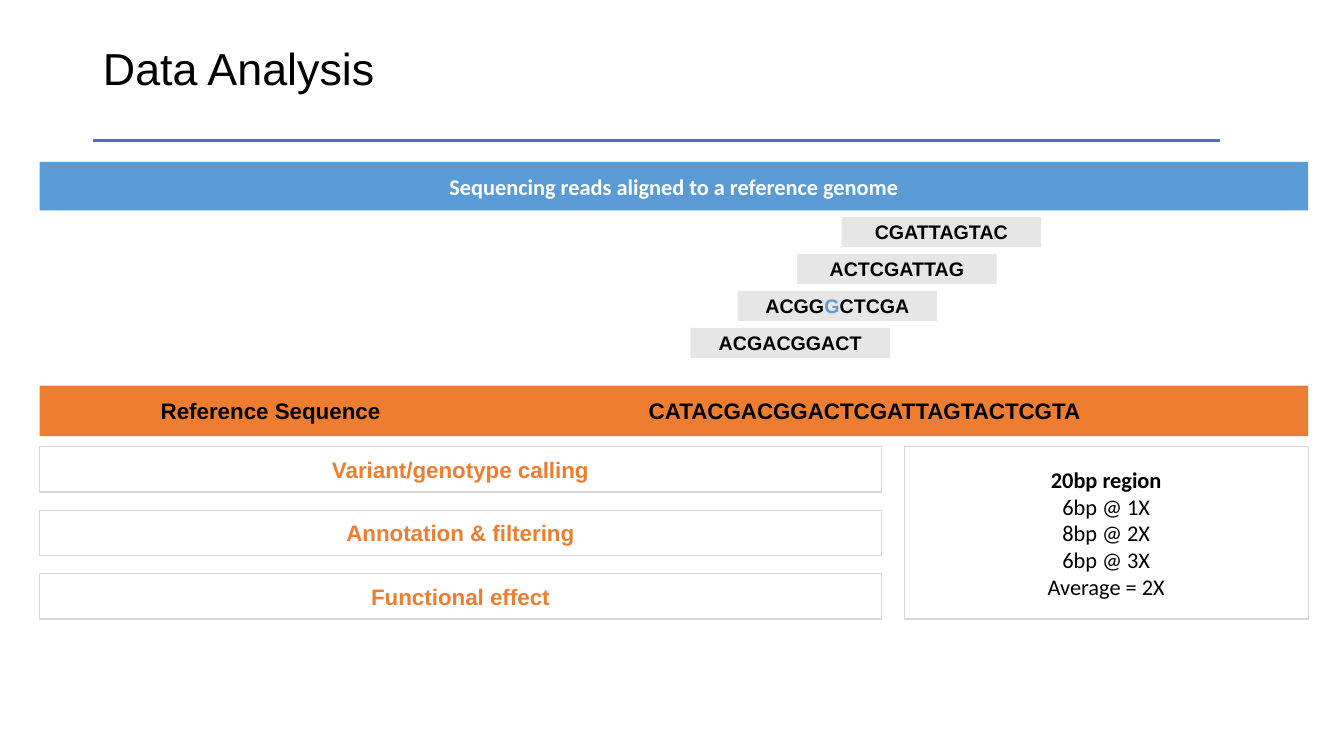
import pptx
import pptx.dml.color
import pptx.enum.shapes
import pptx.enum.text
import pptx.oxml.ns
import pptx.util
from lxml import etree

Cm, Pt = pptx.util.Cm, pptx.util.Pt
ALIGN = pptx.enum.text.PP_ALIGN
BLUE, ORANGE, GREY, EDGE = "5B9BD5", "ED7D31", "E7E6E6", "D8D8D8"
BLACK, WHITE, RULE = "000000", "FFFFFF", "4472C4"
READS = [(21.21, "CGATTAGTAC"), (20.09, "ACTCGATTAG"),
         (18.59, "ACGG|G|CTCGA"), (17.4, "ACGACGGACT")]
STEPS = ["Variant/genotype calling", "Annotation & filtering", "Functional effect"]
DEPTH = ["20bp region", "6bp @ 1X", "8bp @ 2X", "6bp @ 3X", "Average = 2X"]


def rgb(value):
    """Turn a hex string into a colour."""
    return pptx.dml.color.RGBColor.from_string(value)


def style(p, size, font, color, bold=True, align=ALIGN.CENTER):
    """Format a whole paragraph."""
    p.alignment = align
    p.font.size, p.font.name, p.font.bold = Pt(size), font, bold
    p.font.color.rgb = rgb(color)


def add_box(shapes, box, fill=None):
    """Draw a filled or outlined rectangle and return its text frame."""
    sp = shapes.add_shape(pptx.enum.shapes.MSO_SHAPE.RECTANGLE, *map(Cm, box))
    sp.shadow.inherit = False
    if fill:
        sp.fill.solid()
        sp.fill.fore_color.rgb = rgb(fill)
        sp.line.fill.background()
    else:
        sp.fill.background()
        sp.line.color.rgb = rgb(EDGE)
        sp.line.width = Pt(0.75)
    tf = sp.text_frame
    tf.word_wrap = True
    tf.vertical_anchor = pptx.enum.text.MSO_ANCHOR.MIDDLE
    return tf


def add_title(s, box):
    """Place the title and the rule below it."""
    x, y, w, h = box
    sp = s.shapes.title
    sp.left, sp.top, sp.width, sp.height = map(Cm, box)
    tf = sp.text_frame
    tf.text = "Data Analysis"
    tf.vertical_anchor = pptx.enum.text.MSO_ANCHOR.MIDDLE
    p = tf.paragraphs[0]
    style(p, 32, "Arial", BLACK, False, ALIGN.LEFT)
    p.line_spacing = 0.9
    rule_y = Cm(y + h + 0.48)
    rule = s.shapes.add_connector(pptx.enum.shapes.MSO_CONNECTOR.STRAIGHT,
                                  Cm(x), rule_y, Cm(x + w - 0.81), rule_y)
    rule.line.color.rgb = rgb(RULE)
    rule.line.width = Pt(2)
    etree.SubElement(rule._element.spPr, pptx.oxml.ns.qn("a:effectLst"))


def add_heading(s, box):
    """Draw the blue heading band."""
    tf = add_box(s.shapes, box, BLUE)
    tf.margin_left = tf.margin_right = tf.margin_top = tf.margin_bottom = 0
    tf.text = "Sequencing reads aligned to a reference genome"
    style(tf.paragraphs[0], 16, "Calibri", WHITE)


def add_reads(s, top, pitch):
    """Stack the reads, with the variant base in blue."""
    for i, (left, read) in enumerate(READS):
        p = add_box(s.shapes, (left, top + i * pitch, 5.03, 0.76), GREY).paragraphs[0]
        style(p, 14, "Arial", BLACK)
        for j, part in enumerate(read.split("|")):
            r = p.add_run()
            r.text = part
            if j == 1:
                r.font.color.rgb = rgb(BLUE)


def add_reference(s, box):
    """Draw the reference band with its label and sequence."""
    x, y, w, h = box
    shapes = s.shapes.add_group_shape().shapes
    label = add_box(shapes, box, ORANGE)
    label.margin_left = Cm(3.05)
    label.text = "Reference Sequence"
    sequence = shapes.add_textbox(Cm(x + 15.1), Cm(y + 0.28), Cm(14.81), Cm(0.71)).text_frame
    sequence.word_wrap = True
    sequence.vertical_anchor = pptx.enum.text.MSO_ANCHOR.MIDDLE
    sequence.text = "CATACGACGGACTCGATTAGTACTCGTA"
    for tf in (label, sequence):
        style(tf.paragraphs[0], 16, "Arial", BLACK, align=ALIGN.LEFT)


def add_steps(s, box):
    """Spread the analysis steps evenly down the box."""
    x, y, w, h = box
    step_h = 1.14
    pitch = (h - step_h) / (len(STEPS) - 1)
    for i, step in enumerate(STEPS):
        tf = add_box(s.shapes, (x, y + i * pitch, w, step_h))
        tf.text = step
        style(tf.paragraphs[0], 16, "Arial", ORANGE)


def add_depth(s, box):
    """List the read depth under a bold heading."""
    tf = add_box(s.shapes, box)
    tf.text = "\n".join(DEPTH)
    for i, p in enumerate(tf.paragraphs):
        style(p, 16, "Calibri", BLACK, i == 0)


def main():
    """Build and save the slide."""
    prs = pptx.Presentation()
    prs.slide_width, prs.slide_height = Cm(33.87), Cm(19.05)
    s = prs.slides.add_slide(prs.slide_layouts[5])
    add_title(s, (2.34, 0.53, 29.21, 2.54))
    add_heading(s, (1, 4.08, 31.97, 1.22))
    add_reads(s, 5.47, 0.93)
    add_reference(s, (1, 9.72, 31.97, 1.27))
    add_steps(s, (1, 11.26, 21.21, 4.34))
    add_depth(s, (22.79, 11.26, 10.18, 4.34))
    prs.save("out.pptx")


if __name__ == "__main__":
    main()
